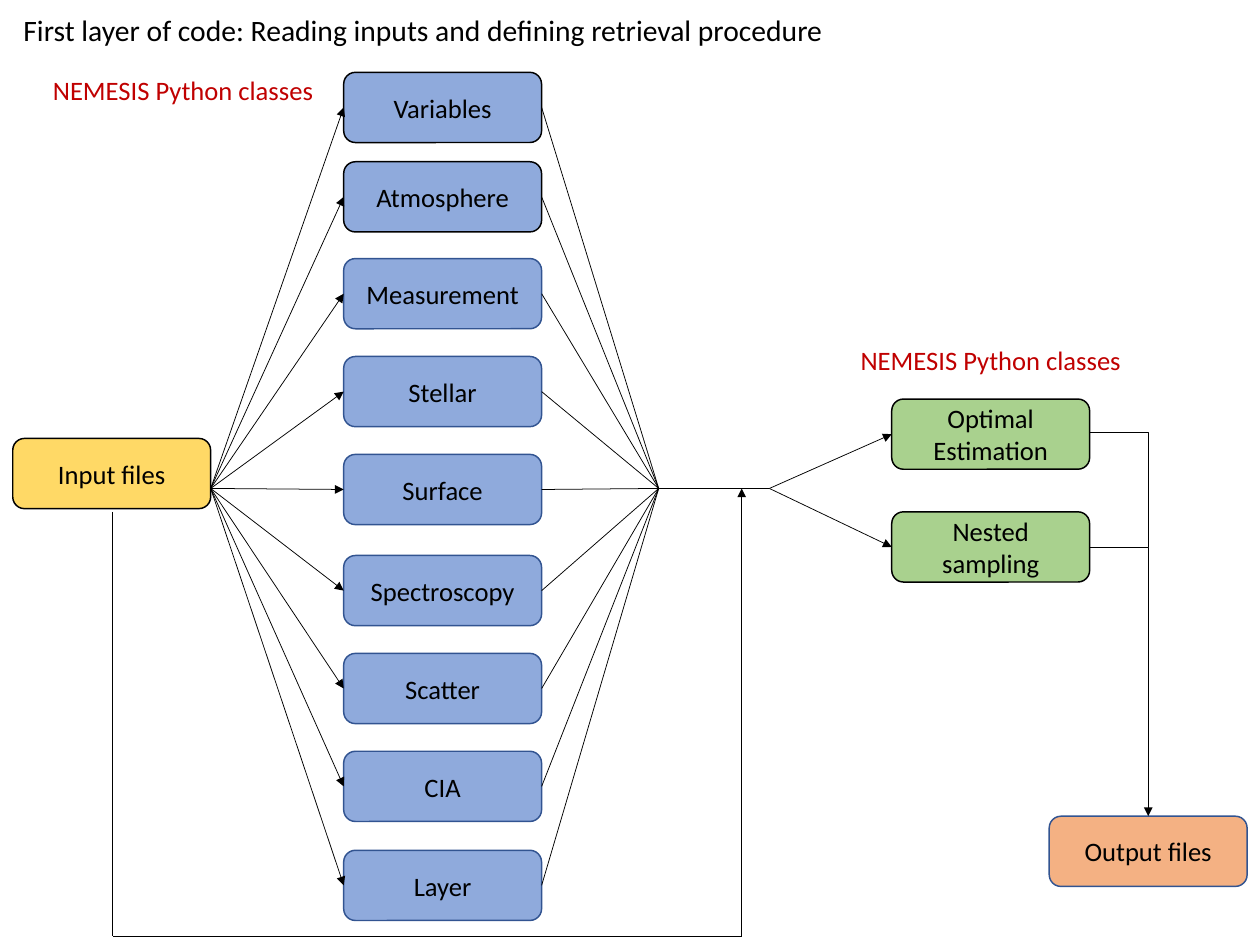
from lxml.etree import SubElement
from pptx import Presentation
from pptx.dml.color import RGBColor
from pptx.enum.shapes import MSO_CONNECTOR, MSO_SHAPE
from pptx.enum.text import MSO_ANCHOR, PP_ALIGN
from pptx.oxml.ns import qn
from pptx.util import Inches, Pt

BLACK, RED, NAVY = "000000", "C00000", "325491"
BLUE, YELLOW, GREEN, ORANGE = "8FAADC", "FFD966", "A9D18E", "F4B183"
BOX_WIDTH, BOX_HEIGHT = 1.86, 0.66
CLASS_LEFT, METHOD_LEFT = 3.23, 8.38
AXIS = 4.59  # height of the line through the middle of the diagram
INPUT_EDGE, MERGE, FORK, RETURN = 1.98, 6.19, 7.23, 6.97
LEFT_SIDE, RIGHT_SIDE, TOP_SIDE = 1, 3, 0


def write(shape, text, size, color, align):
    """Fill a shape with text, set in Calibri and centred vertically."""
    frame = shape.text_frame
    frame.word_wrap = True
    frame.vertical_anchor = MSO_ANCHOR.MIDDLE
    frame.text = text
    para = frame.paragraphs[0]
    para.alignment = align
    para.line_spacing = 1.0
    font = para.runs[0].font
    font.name, font.size = "Calibri", Pt(size)
    font.color.rgb = RGBColor.from_string(color)


def link(start, end, arrow=False, bent=False):
    """Join two ends, each a point (x, y) or a pair (box, side)."""
    kind = MSO_CONNECTOR.ELBOW if bent else MSO_CONNECTOR.STRAIGHT
    points = [end_point if isinstance(end_point[0], (int, float)) else (0, 0)
              for end_point in (start, end)]
    line = page.shapes.add_connector(
        kind, *[Inches(value) for point in points for value in point])
    if not isinstance(start[0], (int, float)):
        line.begin_connect(*start)
    if not isinstance(end[0], (int, float)):
        line.end_connect(*end)
    line.line.width = Pt(0.5)
    line.line.color.rgb = RGBColor.from_string(BLACK)
    properties = line._element.spPr
    if bent:  # a single corner: across, then down
        properties.find(qn("a:prstGeom")).set("prst", "bentConnector2")
    if arrow:
        SubElement(properties.find(qn("a:ln")), qn("a:tailEnd"), type="triangle")
    SubElement(properties, qn("a:effectLst"))


deck = Presentation()
deck.slide_width, deck.slide_height = Inches(11.84), Inches(8.88)
page = deck.slides.add_slide(deck.slide_layouts[5])

title = page.shapes.title
title.left, title.top = Inches(0.12), Inches(0.06)
title.width, title.height = Inches(8.3), Inches(0.44)
write(title, "First layer of code: Reading inputs and defining retrieval procedure",
      20, BLACK, PP_ALIGN.LEFT)

for left, top in [(0.26, 0.64), (7.85, 3.18)]:
    label = page.shapes.add_textbox(
        Inches(left), Inches(top), Inches(2.92), Inches(0.4))
    write(label, "NEMESIS Python classes", 18, RED, PP_ALIGN.CENTER)

class_tops = {
    "Variables": 0.68, "Atmosphere": 1.52, "Measurement": 2.43,
    "Stellar": 3.35, "Surface": 4.27, "Spectroscopy": 5.22,
    "Scatter": 6.14, "CIA": 7.06, "Layer": 7.99,
}
method_tops = {"Optimal Estimation": 3.75, "Nested sampling": 4.81}

box_list = [("Input files", 0.12, 4.12, YELLOW, BLACK),
            ("Output files", 9.86, 7.67, ORANGE, NAVY)]
for name, top in class_tops.items():
    outline = BLACK if name in ("Variables", "Atmosphere") else NAVY
    box_list.append((name, CLASS_LEFT, top, BLUE, outline))
for name, top in method_tops.items():
    box_list.append((name, METHOD_LEFT, top, GREEN, BLACK))

boxes = {}
for name, left, top, fill, outline in box_list:
    box = page.shapes.add_shape(
        MSO_SHAPE.ROUNDED_RECTANGLE, Inches(left), Inches(top),
        Inches(BOX_WIDTH), Inches(BOX_HEIGHT))
    box.shadow.inherit = False
    box.fill.solid()
    box.fill.fore_color.rgb = RGBColor.from_string(fill)
    box.line.color.rgb = RGBColor.from_string(outline)
    box.line.width = Pt(1)
    write(box, name, 18, BLACK, PP_ALIGN.CENTER)
    boxes[name] = box

# Input files feed every class, and the classes merge again
for name in class_tops:
    link((INPUT_EDGE, AXIS), (boxes[name], LEFT_SIDE), arrow=True)
    link((boxes[name], RIGHT_SIDE), (MERGE, AXIS))

# The merged line forks to the two retrieval methods
link((MERGE, AXIS), (FORK, AXIS))
for name in method_tops:
    link((FORK, AXIS), (boxes[name], LEFT_SIDE), arrow=True)

# Input files also reach the merged line by a route below the classes
link((1.06, 4.81), (1.06, 8.8))
link((1.06, 8.8), (RETURN, 8.8))
link((RETURN, 8.8), (RETURN, AXIS), arrow=True)

# Both methods lead to the output files
link((boxes["Nested sampling"], RIGHT_SIDE), (boxes["Output files"], TOP_SIDE),
     arrow=True, bent=True)
link((METHOD_LEFT + BOX_WIDTH, 4.06), (10.79, 5.14), bent=True)

deck.save("out.pptx")
